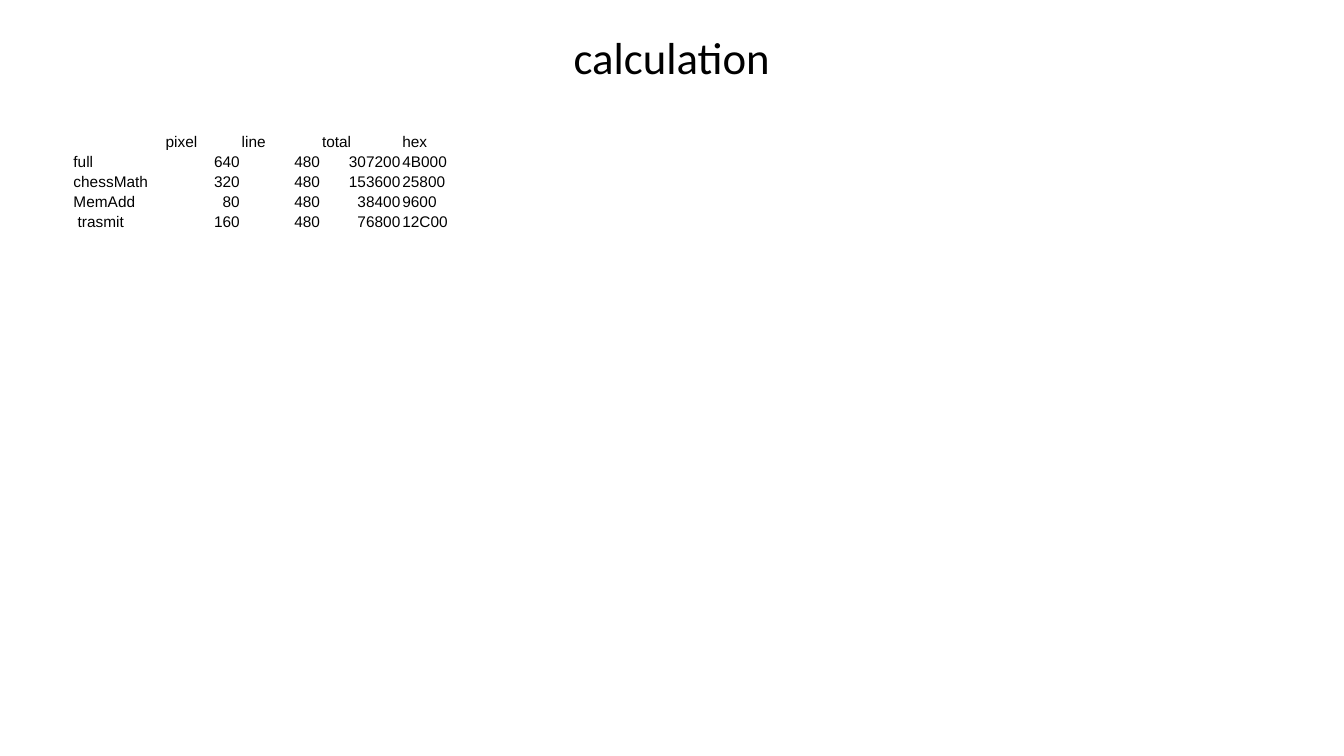
from lxml.etree import SubElement
from pptx import Presentation
from pptx.dml.color import RGBColor
from pptx.enum.text import MSO_ANCHOR, PP_ALIGN
from pptx.oxml.ns import qn
from pptx.util import Pt

BLACK = RGBColor(0, 0, 0)
HEADINGS = ("", "pixel", "line", "total", "hex")
REGIONS = (("full", 640), ("chessMath", 320), ("MemAdd", 80), ("trasmit", 160))
LINES = 480
INDENTED = ("pixel", "trasmit")


def write(para, text, font="Arial", size=11, color=BLACK, align=PP_ALIGN.LEFT, spacing=1.0):
    para.alignment = align
    para.line_spacing = spacing
    if not text:
        SubElement(para._p, qn("a:endParaRPr"), sz=str(size * 100))
        return
    span = para.add_run()
    span.text = text
    span.font.name = font
    span.font.size = Pt(size)
    span.font.color.rgb = color


class PageBuilder:
    """Places styled elements on the current slide, with lengths in points."""

    cell_inset = 0.7
    indent = 3

    def __init__(self, page):
        self.page = page

    def title(self, text, left, top, width, height):
        box = self.page.shapes.title
        box.left, box.top, box.width, box.height = map(Pt, (left, top, width, height))
        frame = box.text_frame
        frame.word_wrap = True
        frame.vertical_anchor = MSO_ANCHOR.MIDDLE
        write(frame.paragraphs[0], text, font="Calibri", size=32,
              align=PP_ALIGN.CENTER, spacing=0.9)

    def table(self, rows, left, top, widths, row_height):
        frame = self.page.shapes.add_table(
            len(rows), len(widths), Pt(left), Pt(top),
            Pt(sum(widths)), Pt(row_height * len(rows)))
        table = frame.table
        table.first_row = table.horz_banding = False
        for column, width in zip(table.columns, widths):
            column.width = Pt(width)
        for row, values in zip(table.rows, rows):
            row.height = Pt(row_height)
            for cell, value in zip(row.cells, values):
                self.cell(cell, value)

    def cell(self, cell, value):
        cell.fill.background()
        cell.vertical_anchor = MSO_ANCHOR.BOTTOM
        shift = self.indent if value in INDENTED else 0
        cell.margin_left = Pt(self.cell_inset + shift)
        cell.margin_right = cell.margin_top = Pt(self.cell_inset)
        cell.margin_bottom = 0
        align = PP_ALIGN.RIGHT if isinstance(value, int) else PP_ALIGN.LEFT
        write(cell.text_frame.paragraphs[0], str(value), align=align)


def main():
    deck = Presentation()
    deck.slide_width, deck.slide_height = Pt(960), Pt(540)
    builder = PageBuilder(deck.slides.add_slide(deck.slide_layouts[5]))
    builder.title("calculation", 367.2, 15.1, 225.4, 55.4)
    rows = [HEADINGS]
    for name, pixels in REGIONS:
        total = pixels * LINES
        rows.append((name, pixels, LINES, total, f"{total:X}"))
    builder.table(rows, 51.8, 93.6, [62.8] + [57.4] * 4, 14.3)
    deck.save("out.pptx")


if __name__ == "__main__":
    main()
